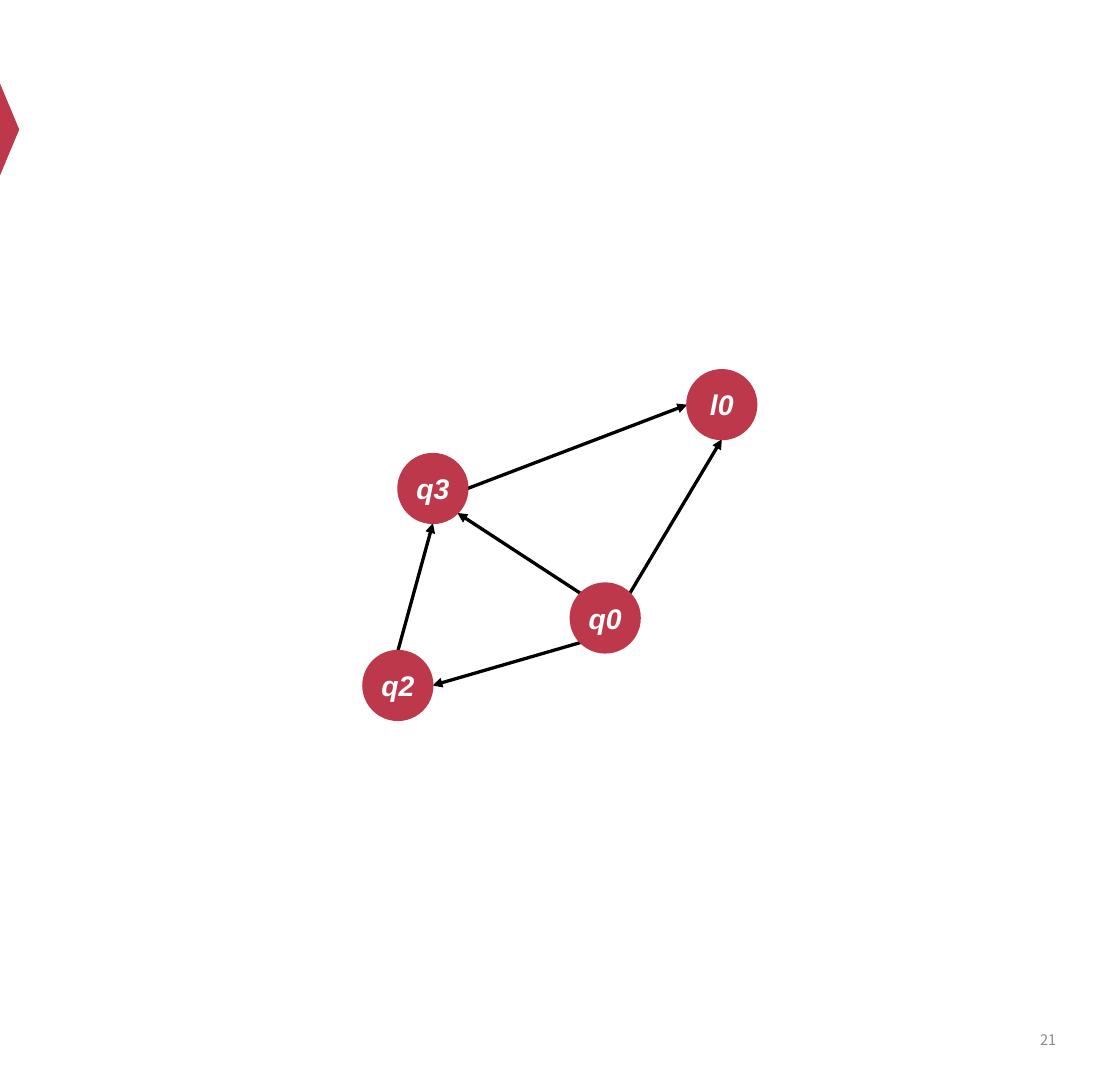
from math import cos, radians, sin

from lxml import etree
from pptx import Presentation
from pptx.dml.color import RGBColor
from pptx.enum.shapes import MSO_CONNECTOR, MSO_SHAPE
from pptx.enum.text import MSO_ANCHOR, PP_ALIGN
from pptx.oxml.ns import qn
from pptx.util import Cm, Pt

LINE = MSO_CONNECTOR.STRAIGHT
CIRCLE, TRIANGLE = MSO_SHAPE.OVAL, MSO_SHAPE.ISOSCELES_TRIANGLE
MIDDLE = MSO_ANCHOR.MIDDLE
CENTER, RIGHT = PP_ALIGN.CENTER, PP_ALIGN.RIGHT

RED, BLACK, WHITE, GREY = "BE384B", "000000", "FFFFFF", "8C8C8C"
DIAMETER = 2.41
NODE_FONT = dict(name="Arial", size=Pt(28), bold=True, italic=True)
NUMBER_FONT = dict(name="Noto Sans CJK SC", size=Pt(14.4))

# Top left corner of each node, in cm inside the graph box
NODES = {"l0": (11.28, 0), "q3": (1.22, 2.92), "q2": (0, 9.78), "q0": (7.22, 7.43)}

# Angles on a node's rim, clockwise from the right
EAST, SOUTHEAST, SOUTH, SOUTHWEST = 0, 45, 90, 135
WEST, NORTHWEST, NORTH, NORTHEAST = 180, 225, 270, 315
EDGES = [
    ("q2", NORTH, "q3", SOUTH),
    ("q0", NORTHWEST, "q3", SOUTHEAST),
    ("q0", SOUTHWEST, "q2", EAST),
    ("q3", EAST, "l0", WEST),
    ("q0", NORTHEAST, "l0", SOUTH),
]


def rgb(color):
    return RGBColor.from_string(color)


def write(sp, text, align, color, font):
    tf = sp.text_frame
    tf.word_wrap = True
    tf.vertical_anchor = MIDDLE
    p = tf.paragraphs[0]
    p.alignment = align
    r = p.add_run()
    r.text = text
    for key, value in font.items():
        setattr(r.font, key, value)
    r.font.color.rgb = rgb(color)


def add_filled(shapes, kind, left, top, width, height):
    sp = shapes.add_shape(kind, Cm(left), Cm(top), Cm(width), Cm(height))
    sp.shadow.inherit = False
    sp.fill.solid()
    sp.fill.fore_color.rgb = rgb(RED)
    return sp


def add_arrow(shapes, start, end):
    cx = shapes.add_connector(LINE, *map(Cm, start + end))
    cx.line.color.rgb = rgb(BLACK)
    cx.line.width = Pt(3.25)
    ln = cx._element.spPr.find(qn("a:ln"))
    etree.SubElement(ln, qn("a:tailEnd"), type="triangle")
    etree.SubElement(cx._element.spPr, qn("a:effectLst"))


def add_marker(s, left, top, width, height):
    """Triangle pointing right that fills the given box."""
    # Swap the sides, as the shape is turned about its centre
    sp = add_filled(s.shapes, TRIANGLE, left + (width - height) / 2,
                    top + (height - width) / 2, height, width)
    sp.rotation = 90
    sp.line.fill.background()


def add_page_number(s, left, top, width, height, text):
    sp = s.shapes.add_textbox(Cm(left), Cm(top), Cm(width), Cm(height))
    write(sp, text, RIGHT, GREY, NUMBER_FONT)


def add_graph(s, left, top):
    shapes = s.shapes.add_group_shape().shapes
    radius = DIAMETER / 2

    def rim(name, angle):
        x, y = NODES[name]
        return (left + x + radius * (1 + cos(radians(angle))),
                top + y + radius * (1 + sin(radians(angle))))

    # Edges lie behind the nodes
    for source, leave, target, arrive in EDGES:
        add_arrow(shapes, rim(source, leave), rim(target, arrive))

    for name, (x, y) in NODES.items():
        sp = add_filled(shapes, CIRCLE, left + x, top + y, DIAMETER, DIAMETER)
        sp.line.color.rgb = rgb(RED)
        sp.line.width = Pt(2)
        tf = sp.text_frame
        tf.margin_left = tf.margin_right = tf.margin_top = tf.margin_bottom = 0
        write(sp, name, CENTER, WHITE, NODE_FONT)


prs = Presentation()
prs.slide_width, prs.slide_height = Cm(39), Cm(38)
s = prs.slides.add_slide(prs.slide_layouts[6])
add_marker(s, 0, 2.91, 0.67, 3.2)
add_page_number(s, 27.94, 35.21, 9.09, 2.03, "21")
add_graph(s, 12.65, 12.89)
prs.save("out.pptx")
